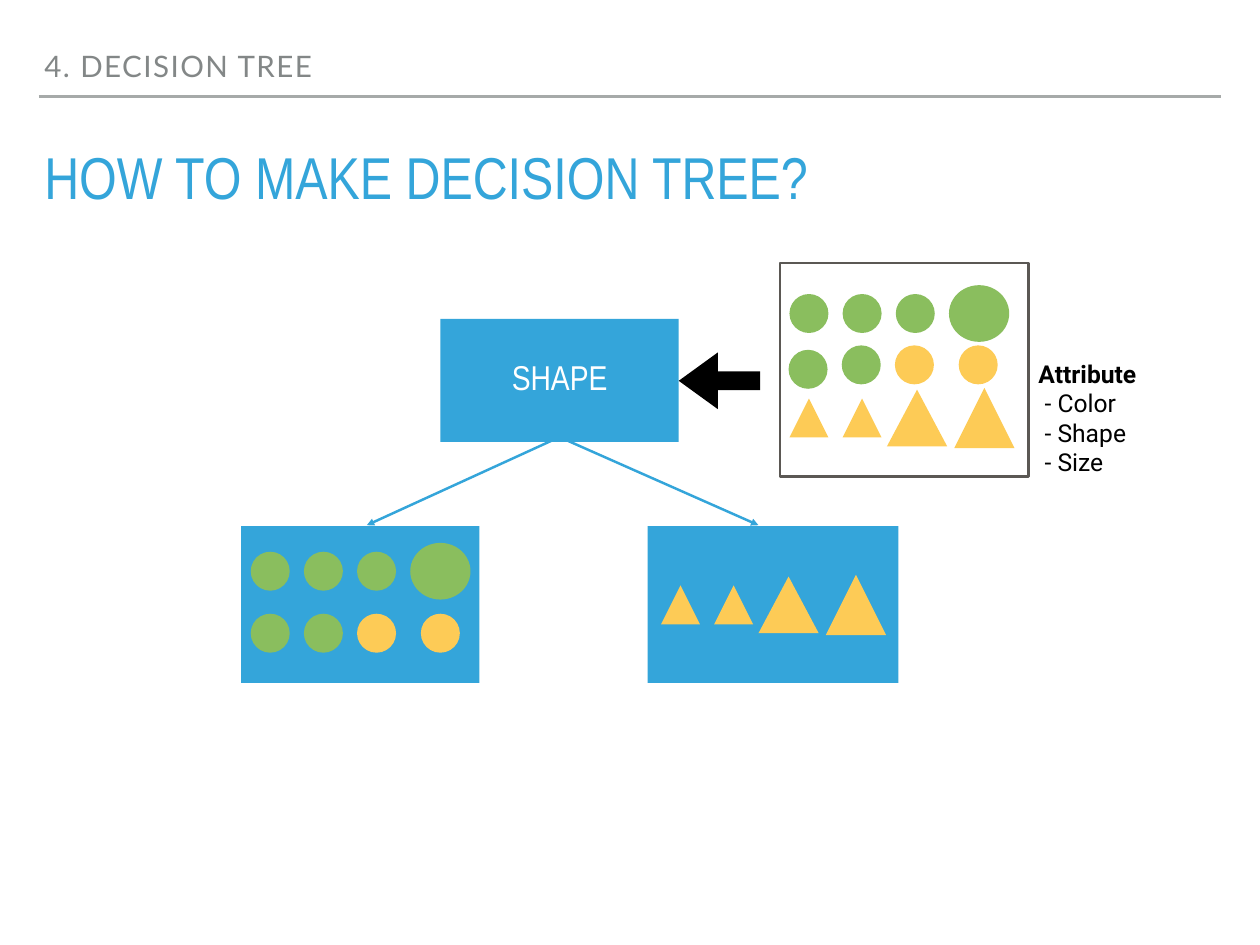
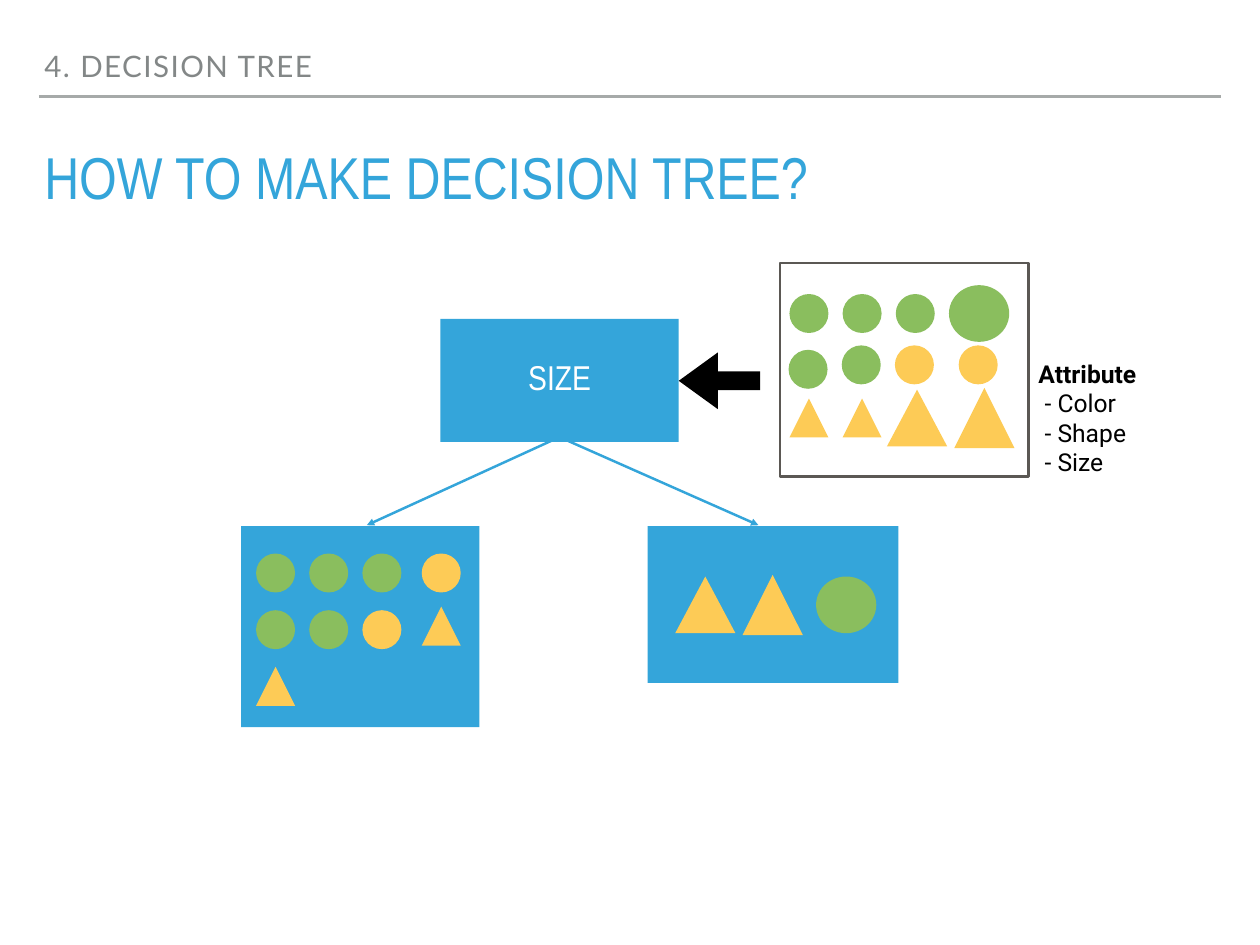
from pptx import Presentation
from pptx.dml.color import RGBColor as RGB
from pptx.enum.shapes import MSO_CONNECTOR as Link, MSO_SHAPE as Kind
from pptx.enum.text import MSO_ANCHOR as Anchor, PP_ALIGN as Align
from pptx.oxml.ns import qn
from pptx.util import Inches, Pt
from lxml import etree

HUES = {"blue": "34A5DA", "green": "8ABE5E", "gold": "FDCB56", "gray": "838787",
        "rule": "A6AAA9", "frame": "5B5854", "black": "000000", "white": "FFFFFF"}
HEAD, BODY, NOTE = "Arial Narrow", "Lato", "Roboto"

# One letter per mark: preset, colour, width, height
MARKS = {
    "g": (Kind.OVAL, "green", 0.44, 0.44),
    "G": (Kind.OVAL, "green", 0.68, 0.64),
    "y": (Kind.OVAL, "gold", 0.44, 0.44),
    "t": (Kind.ISOSCELES_TRIANGLE, "gold", 0.44, 0.44),
    "T": (Kind.ISOSCELES_TRIANGLE, "gold", 0.68, 0.64),
    "U": (Kind.ISOSCELES_TRIANGLE, "gold", 0.68, 0.68),
}
# Centres of the columns, from the first one
DOTS = (0, 0.6, 1.2, 1.92)
PEAKS = (0, 0.6, 1.22, 1.98)
SMALL = (0, 0.6, 1.2, 1.87)
LARGE = (0, 0.76, 1.59)

# Each row: marks, first centre x, centre y, columns
SAMPLE = [("gggG", 0.33, 0.57, DOTS), ("g", 0.32, 1.2, DOTS),
          ("gyy", 0.92, 1.15, (0, 0.6, 1.32)), ("ttTU", 0.33, 1.75, PEAKS)]
TREES = [
    ("SHAPE",
     (1.77, [("gggG", 0.33, 0.51, DOTS), ("ggyy", 0.33, 1.21, DOTS)]),
     (1.77, [("ttTU", 0.37, 0.89, PEAKS)])),
    ("SIZE",
     (2.27, [("gggy", 0.39, 0.53, SMALL), ("ggy", 0.39, 1.17, SMALL),
             ("t", 2.26, 1.13, SMALL), ("t", 0.39, 1.81, SMALL)]),
     (1.77, [("TUG", 0.65, 0.89, LARGE)])),
]


def color(name):
    return RGB.from_string(HUES[name])


def write(frame, lines, size, font, hue, align=Align.LEFT, anchor=Anchor.TOP,
          lead=1.0, track=0, bold=False, inset=0):
    """Fill a text frame; bold marks the first line, inset moves the others in."""
    frame.word_wrap = True
    frame.vertical_anchor = anchor
    frame.margin_left = frame.margin_right = Inches(0.06)
    frame.margin_top = frame.margin_bottom = Inches(0.06)
    for i, line in enumerate(lines):
        par = frame.paragraphs[0] if i == 0 else frame.add_paragraph()
        par.alignment, par.line_spacing = align, lead
        if i and inset:
            par._p.get_or_add_pPr().set("marL", str(Inches(inset)))
        run = par.add_run()
        run.text = line
        run.font.size, run.font.name = Pt(size), font
        run.font.bold = bold and i == 0
        run.font.color.rgb = color(hue)
        if track:
            run._r.get_or_add_rPr().set("spc", str(int(track * 100)))


def label(slide, box, lines, **style):
    area = slide.shapes.add_textbox(*map(Inches, box))
    write(area.text_frame, lines, **style)


def shape(slide, kind, box, fill=None, line=None):
    item = slide.shapes.add_shape(kind, *map(Inches, box))
    item.shadow.inherit = False
    if fill:
        item.fill.solid()
        item.fill.fore_color.rgb = color(fill)
    else:
        item.fill.background()
    if line:
        item.line.color.rgb = color(line)
        item.line.width = Pt(2)
    else:
        item.line.fill.background()
    return item


def stroke(slide, start, end, hue, arrow=False):
    line = slide.shapes.add_connector(Link.STRAIGHT, *map(Inches, start + end))
    line.line.color.rgb = color(hue)
    line.line.width = Pt(2)
    if arrow:
        tail = etree.SubElement(line.line._get_or_add_ln(), qn("a:tailEnd"))
        tail.set("type", "triangle")
    etree.SubElement(line._element.spPr, qn("a:effectLst"))


def scatter(slide, left, top, rows):
    """Centre rows of marks on points measured from a box corner."""
    for marks, x, y, cols in rows:
        for mark, col in zip(marks, cols):
            kind, hue, wide, high = MARKS[mark]
            box = (left + x + col - wide / 2, top + y - high / 2, wide, high)
            shape(slide, kind, box, hue)


def header(slide):
    stroke(slide, (0.44, 1.09), (13.78, 1.09), "rule")
    label(slide, (0.44, 0.5, 12.22, 0.5), ["4. DECISION TREE"], size=24, font=BODY,
          hue="gray", anchor=Anchor.BOTTOM, lead=0.8, track=1.2)
    label(slide, (0.44, 1.68, 13.33, 0.79), ["HOW TO MAKE DECISION TREE?"],
          size=48, font=HEAD, hue="blue", lead=0.8)


def sample(slide, left, top):
    """Framed data set, its attributes, and the arrow into the tree."""
    shape(slide, Kind.RECTANGLE, (left, top, 2.81, 2.41), line="frame")
    scatter(slide, left, top, SAMPLE)
    arrow = shape(slide, Kind.LEFT_ARROW, (left - 1.14, top + 1.01, 0.92, 0.64), "black")
    arrow.adjustments[0], arrow.adjustments[1] = 0.33, 0.69
    label(slide, (left + 2.86, top + 0.94, 1.41, 1.61),
          ["Attribute", "- Color", "- Shape", "- Size"], size=20, font=NOTE,
          hue="black", anchor=Anchor.MIDDLE, bold=True, inset=0.07)


def leaf(slide, left, top, wide, high, rows):
    shape(slide, Kind.RECTANGLE, (left, top, wide, high), "blue")
    scatter(slide, left, top, rows)


def tree(slide, left, top, test, near, far):
    """Test box at the given corner, with its two branches below."""
    root = shape(slide, Kind.RECTANGLE, (left, top, 2.69, 1.39), "blue")
    write(root.text_frame, [test], size=28, font=HEAD, hue="white",
          align=Align.CENTER, anchor=Anchor.MIDDLE, lead=0.8)
    for start, end in ((1.29, -0.83), (1.4, 3.59)):
        stroke(slide, (left + start, top + 1.36), (left + end, top + 2.33),
               "blue", arrow=True)
    for shift, wide, (high, rows) in ((-2.25, 2.69, near), (2.34, 2.83, far)):
        leaf(slide, left + shift, top + 2.34, wide, high, rows)


def main():
    deck = Presentation()
    deck.slide_width, deck.slide_height = Inches(14.22), Inches(10.67)
    for test, near, far in TREES:
        slide = deck.slides.add_slide(deck.slide_layouts[6])
        header(slide)
        tree(slide, 4.97, 3.6, test, near, far)
        sample(slide, 8.8, 2.97)
    deck.save("out.pptx")


if __name__ == "__main__":
    main()
